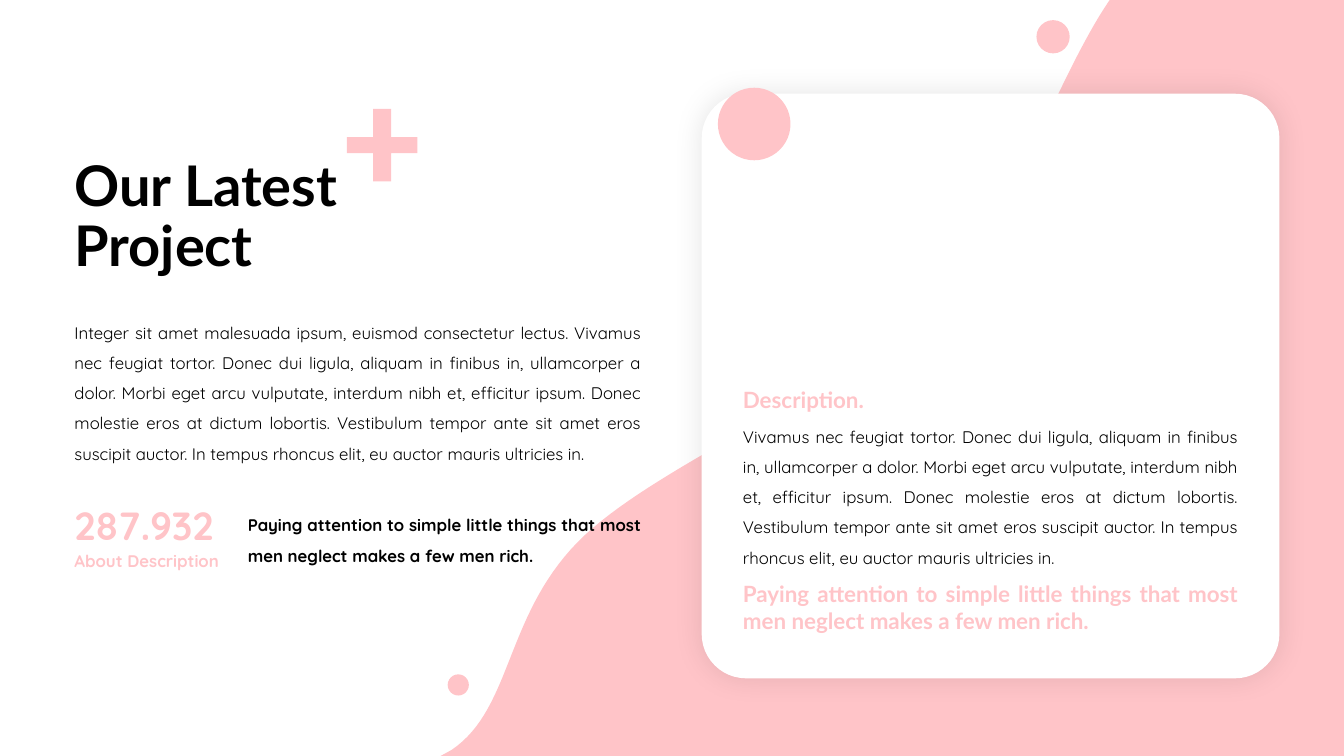
from dataclasses import dataclass

from lxml.etree import SubElement
from pptx import Presentation
from pptx.dml.color import RGBColor
from pptx.enum.shapes import MSO_SHAPE
from pptx.enum.text import MSO_ANCHOR, MSO_AUTO_SIZE, PP_ALIGN
from pptx.oxml.ns import qn
from pptx.util import Pt

PX = 9144  # EMU per px, 100 px to the inch


@dataclass(frozen=True)
class Theme:
    pink: str = "FFC4C8"
    white: str = "FFFFFF"
    black: str = "000000"
    heading: str = "Lato"
    body: str = "Quicksand"
    title: int = 40
    figure: int = 28
    lead: int = 16
    text: int = 12


def bezier(p0, p1, p2, p3, steps=32):
    """Points along a cubic curve, without its first point."""
    for i in range(1, steps + 1):
        t = i / steps
        u = 1 - t
        yield tuple(u**3 * a + 3 * u * u * t * b + 3 * u * t * t * c + t**3 * d
                    for a, b, c, d in zip(p0, p1, p2, p3))


class Deck:
    def __init__(self, theme, width, height):
        self.theme = theme
        self.prs = Presentation()
        self.prs.slide_width, self.prs.slide_height = width * PX, height * PX
        self.s = self.prs.slides.add_slide(self.prs.slide_layouts[6])

    def paint(self, sp, color):
        sp.shadow.inherit = False
        sp.fill.solid()
        sp.fill.fore_color.rgb = RGBColor.from_string(color)
        sp.line.fill.background()
        return sp

    def shape(self, kind, box, color):
        return self.paint(self.s.shapes.add_shape(kind, *(v * PX for v in box)), color)

    def circle(self, x, y, size):
        return self.shape(MSO_SHAPE.OVAL, (x, y, size, size), self.theme.pink)

    def outline(self, points):
        first, *rest = [(x * PX, y * PX) for x, y in points]
        builder = self.s.shapes.build_freeform(*first, scale=1.0)
        builder.add_line_segments(rest, close=True)
        return self.paint(builder.convert_to_shape(), self.theme.pink)

    def card(self, box, radius, blur, alpha):
        sp = self.shape(MSO_SHAPE.ROUNDED_RECTANGLE, box, self.theme.white)
        sp.adjustments[0] = radius
        effects = sp._element.spPr.find(qn("a:effectLst"))
        shadow = SubElement(effects, qn("a:outerShdw"), blurRad=str(Pt(blur)),
                            dist="0", dir="0", algn="ctr", rotWithShape="0")
        color = SubElement(shadow, qn("a:srgbClr"), val=self.theme.black)
        SubElement(color, qn("a:alpha"), val=str(alpha * 1000))
        return sp

    def text(self, words, box, size, font, color, bold=True, align=PP_ALIGN.JUSTIFY,
             anchor=MSO_ANCHOR.TOP, spacing=1.0, fit=MSO_AUTO_SIZE.SHAPE_TO_FIT_TEXT):
        tf = self.s.shapes.add_textbox(*(v * PX for v in box)).text_frame
        tf.word_wrap, tf.auto_size, tf.vertical_anchor = True, fit, anchor
        tf.text = words
        p = tf.paragraphs[0]
        p.alignment, p.line_spacing = align, spacing
        f = p.runs[0].font
        f.name, f.size, f.bold = font, Pt(size), bold
        f.color.rgb = RGBColor.from_string(color)

    def body(self, words, box, bold=False):
        th = self.theme
        self.text(words, box, th.text, th.body, th.black, bold, spacing=1.5)


def main():
    th = Theme()
    deck = Deck(th, 1333, 750)
    vivamus = ("Vivamus nec feugiat tortor. Donec dui ligula, aliquam in finibus in, "
               "ullamcorper a dolor. Morbi eget arcu vulputate, interdum nibh et, "
               "efficitur ipsum. Donec molestie eros at dictum lobortis. Vestibulum "
               "tempor ante sit amet eros suscipit auctor. In tempus rhoncus elit, "
               "eu auctor mauris ultricies in.")
    integer = "Integer sit amet malesuada ipsum, euismod consectetur lectus. "
    quote = "Paying attention to simple little things that most men neglect makes a few men rich."

    # Background wave
    deck.outline([(1101, 0), (1333, 0), (1333, 750), (437, 750), (448, 744),
                  *bezier((448, 744), (510, 702), (500, 606), (580, 531)),
                  *bezier((580, 531), (661, 456), (836, 390), (930, 295)),
                  *bezier((930, 295), (1005, 217), (1047, 79), (1100, 1))])

    # Plus sign
    x0, x1, x2, x3 = 344, 370, 388, 414
    y0, y1, y2, y3 = 108, 136, 152, 180
    deck.outline([(x1, y0), (x2, y0), (x2, y1), (x3, y1), (x3, y2), (x2, y2),
                  (x2, y3), (x1, y3), (x1, y2), (x0, y2), (x0, y1), (x1, y1)])

    # Description card
    deck.card((696, 93, 573, 580), radius=0.077, blur=20, alpha=10)
    deck.text("Description.", (727, 378, 259, 37), th.lead, th.heading, th.pink,
              align=PP_ALIGN.LEFT, anchor=MSO_ANCHOR.MIDDLE)
    deck.body(vivamus, (727, 408, 511, 158))
    deck.text(quote, (727, 571, 511, 64), th.lead, th.heading, th.pink)

    # Title and introduction
    deck.text("Our Latest Project", (64, 144, 462, 145), th.title, th.heading, th.black,
              align=PP_ALIGN.LEFT, anchor=MSO_ANCHOR.MIDDLE, spacing=0.9,
              fit=MSO_AUTO_SIZE.NONE)
    deck.body(integer + vivamus, (64, 305, 582, 162))

    # Key figure
    deck.text("About Description", (64, 541, 172, 30), th.text, th.body, th.pink,
              anchor=MSO_ANCHOR.MIDDLE)
    deck.text("287.932", (64, 492, 230, 57), th.figure, th.body, th.pink,
              anchor=MSO_ANCHOR.MIDDLE)
    deck.body(quote, (236, 496, 410, 71), bold=True)

    # Accent dots
    for x, y, size in [(1028, 20, 33), (444, 669, 21), (712, 87, 72)]:
        deck.circle(x, y, size)

    deck.prs.save("out.pptx")


if __name__ == "__main__":
    main()
